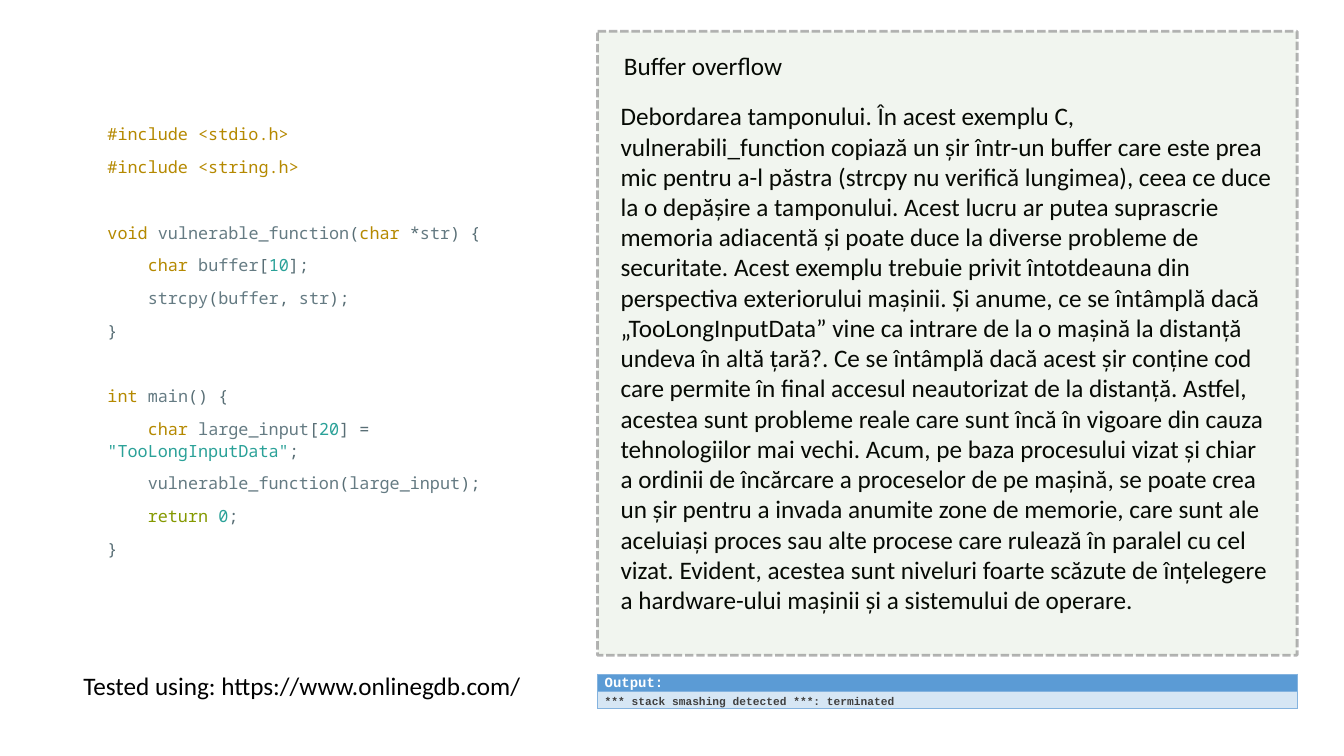
from dataclasses import dataclass

from lxml import etree
from pptx import Presentation
from pptx.dml.color import RGBColor
from pptx.enum import dml, shapes, text
from pptx.oxml import ns
from pptx.util import Cm, Pt


# Theme: colours and type sizes
@dataclass(frozen=True)
class Theme:
    body_font: str = "Calibri"
    code_font: str = "Noto Sans Mono"
    output_font: str = "Courier New"
    body_size: float = 18
    code_size: float = 12
    ink: str = "000000"
    panel: str = "548235"
    dash: str = "808080"
    border: str = "84B3DF"
    keyword: str = "B58900"
    name: str = "657B83"
    punct: str = "586E75"
    literal: str = "2AA198"
    control: str = "859900"


THEME = Theme()
K, N, P, L, R = THEME.keyword, THEME.name, THEME.punct, THEME.literal, THEME.control


@dataclass(frozen=True)
class Box:
    left: float
    top: float
    width: float
    height: float

    def lengths(self) -> tuple:
        return Cm(self.left), Cm(self.top), Cm(self.width), Cm(self.height)


@dataclass(frozen=True)
class CodeLine:
    tokens: tuple
    gap_before: float = 0


@dataclass(frozen=True)
class OutputRow:
    label: str
    size: float
    color: str
    fill: str
    anchor: text.MSO_ANCHOR


# Content
BLANK_LINE = 23.4  # points
CODE = (
    CodeLine((("#include <stdio.h>", K),)),
    CodeLine((("#include <string.h>", K),)),
    CodeLine((("void", K), (" vulnerable_function", N), ("(", P), ("char ", K),
              ("*", P), ("str", N), (") {", P)), BLANK_LINE),
    CodeLine((("    char", K), (" buffer", N), ("[", P), ("10", L), ("];", P))),
    CodeLine((("    strcpy", N), ("(", P), ("buffer", N), (",", P),
              (" str", N), (");", P))),
    CodeLine((("}", P),)),
    CodeLine((("int", K), (" main", N), ("() {", P)), BLANK_LINE),
    CodeLine((("    char", K), (" large_input", N), ("[", P), ("20", L),
              ("] = ", P), ('"TooLongInputData"', L), (";", P))),
    CodeLine((("    vulnerable_function", N), ("(", P), ("large_input", N), (");", P))),
    CodeLine((("    return ", R), ("0", L), (";", P))),
    CodeLine((("}", P),)),
)
EXPLANATION = (
    "Debordarea tamponului.",
    "În acest exemplu C, vulnerabili_function copiază un șir într-un buffer care este "
    "prea mic pentru a-l păstra (strcpy nu verifică lungimea), ceea ce duce la o "
    "depășire a tamponului.",
    "Acest lucru ar putea suprascrie memoria adiacentă și poate duce la diverse probleme "
    "de securitate.",
    "Acest exemplu trebuie privit întotdeauna din perspectiva exteriorului mașinii.",
    "Și anume, ce se întâmplă dacă „TooLongInputData” vine ca intrare de la o mașină la "
    "distanță undeva în altă țară?.",
    "Ce se întâmplă dacă acest șir conține cod care permite în final accesul neautorizat "
    "de la distanță.",
    "Astfel, acestea sunt probleme reale care sunt încă în vigoare din cauza "
    "tehnologiilor mai vechi.",
    "Acum, pe baza procesului vizat și chiar a ordinii de încărcare a proceselor de pe "
    "mașină, se poate crea un șir pentru a invada anumite zone de memorie, care sunt ale "
    "aceluiași proces sau alte procese care rulează în paralel cu cel vizat.",
    "Evident, acestea sunt niveluri foarte scăzute de înțelegere a hardware-ului mașinii "
    "și a sistemului de operare.",
)
OUTPUT = (
    OutputRow("Output:", 10, "FFFFFF", "5B9BD5", text.MSO_ANCHOR.MIDDLE),
    OutputRow("*** stack smashing detected ***: terminated", 8, "404040", "D6E6F4",
              text.MSO_ANCHOR.TOP),
)


def style(font, name: str, size: float, color: str, bold: bool = False) -> None:
    font.name, font.size, font.bold = name, Pt(size), bold
    font.color.rgb = RGBColor.from_string(color)


def fill_text(sp, box: Box, content: str, wrap: bool) -> None:
    sp.left, sp.top, sp.width, sp.height = box.lengths()
    tf = sp.text_frame
    tf.text = content
    tf.word_wrap = wrap
    tf.auto_size = text.MSO_AUTO_SIZE.NONE
    tf.vertical_anchor = text.MSO_ANCHOR.TOP
    p = tf.paragraphs[0]
    p.alignment = text.PP_ALIGN.LEFT
    style(p.runs[0].font, THEME.body_font, THEME.body_size, THEME.ink)


def add_code(slide, box: Box) -> None:
    tf = slide.shapes.add_textbox(*box.lengths()).text_frame
    tf.word_wrap = True
    for i, line in enumerate(CODE):
        p = tf.add_paragraph() if i else tf.paragraphs[0]
        p.line_spacing, p.space_after = 1.07, Pt(8)
        if line.gap_before:
            p.space_before = Pt(line.gap_before)
        for token, color in line.tokens:
            r = p.add_run()
            r.text = token
            style(r.font, THEME.code_font, THEME.code_size, color)


def add_borders(cell) -> None:
    props = cell._tc.get_or_add_tcPr()
    for i, side in enumerate(("lnL", "lnR", "lnT", "lnB")):
        line = etree.Element(ns.qn(f"a:{side}"), w=str(Pt(1)))
        solid = etree.SubElement(line, ns.qn("a:solidFill"))
        etree.SubElement(solid, ns.qn("a:srgbClr"), val=THEME.border)
        props.insert(i, line)


def add_output(slide, box: Box) -> None:
    table = slide.shapes.add_table(len(OUTPUT), 1, *box.lengths()).table
    for i, row in enumerate(OUTPUT):
        cell = table.cell(i, 0)
        cell.text = row.label
        cell.vertical_anchor = row.anchor
        cell.margin_left = cell.margin_right = Cm(0.18)
        cell.margin_top = cell.margin_bottom = 0
        cell.fill.solid()
        cell.fill.fore_color.rgb = RGBColor.from_string(row.fill)
        add_borders(cell)
        p = cell.text_frame.paragraphs[0]
        p.line_spacing = Pt(12.2)
        style(p.runs[0].font, THEME.output_font, row.size, row.color, bold=True)


def add_panel(slide, box: Box) -> None:
    sp = slide.shapes.add_shape(shapes.MSO_SHAPE.FLOWCHART_PROCESS, *box.lengths())
    sp.shadow.inherit = False
    sp.fill.solid()
    sp.fill.fore_color.rgb = RGBColor.from_string(THEME.panel)
    sp.line.color.rgb = RGBColor.from_string(THEME.dash)
    sp.line.width = Pt(2)
    sp.line.dash_style = dml.MSO_LINE.SQUARE_DOT
    # Opacity of the fill, then of the outline
    colors = list(sp._element.spPr.iter(ns.qn("a:srgbClr")))
    for color, percent in zip(colors, (8, 59)):
        etree.SubElement(color, ns.qn("a:alpha"), val=str(percent * 1000))


def main() -> None:
    prs = Presentation()
    prs.slide_width, prs.slide_height = Cm(33.87), Cm(19.05)
    slide = prs.slides.add_slide(prs.slide_layouts.get_by_name("Title Only"))

    # Code and its source on the left
    add_code(slide, Box(2.46, 2.97, 10.41, 11.35))
    fill_text(slide.shapes.add_textbox(0, 0, 0, 0), Box(1.85, 16.76, 11.68, 1.02),
              "Tested using: https://www.onlinegdb.com/", wrap=False)

    # Explanation and program output on the right
    fill_text(slide.shapes.title, Box(15.47, 1.14, 4.55, 1.02), "Buffer overflow", wrap=False)
    fill_text(slide.shapes.add_textbox(0, 0, 0, 0), Box(15.39, 2.41, 16.94, 14.1),
              " ".join(EXPLANATION), wrap=True)
    add_output(slide, Box(15.06, 16.99, 17.63, 0.86))
    add_panel(slide, Box(15.06, 0.79, 17.63, 15.72))

    prs.save("out.pptx")


if __name__ == "__main__":
    main()
